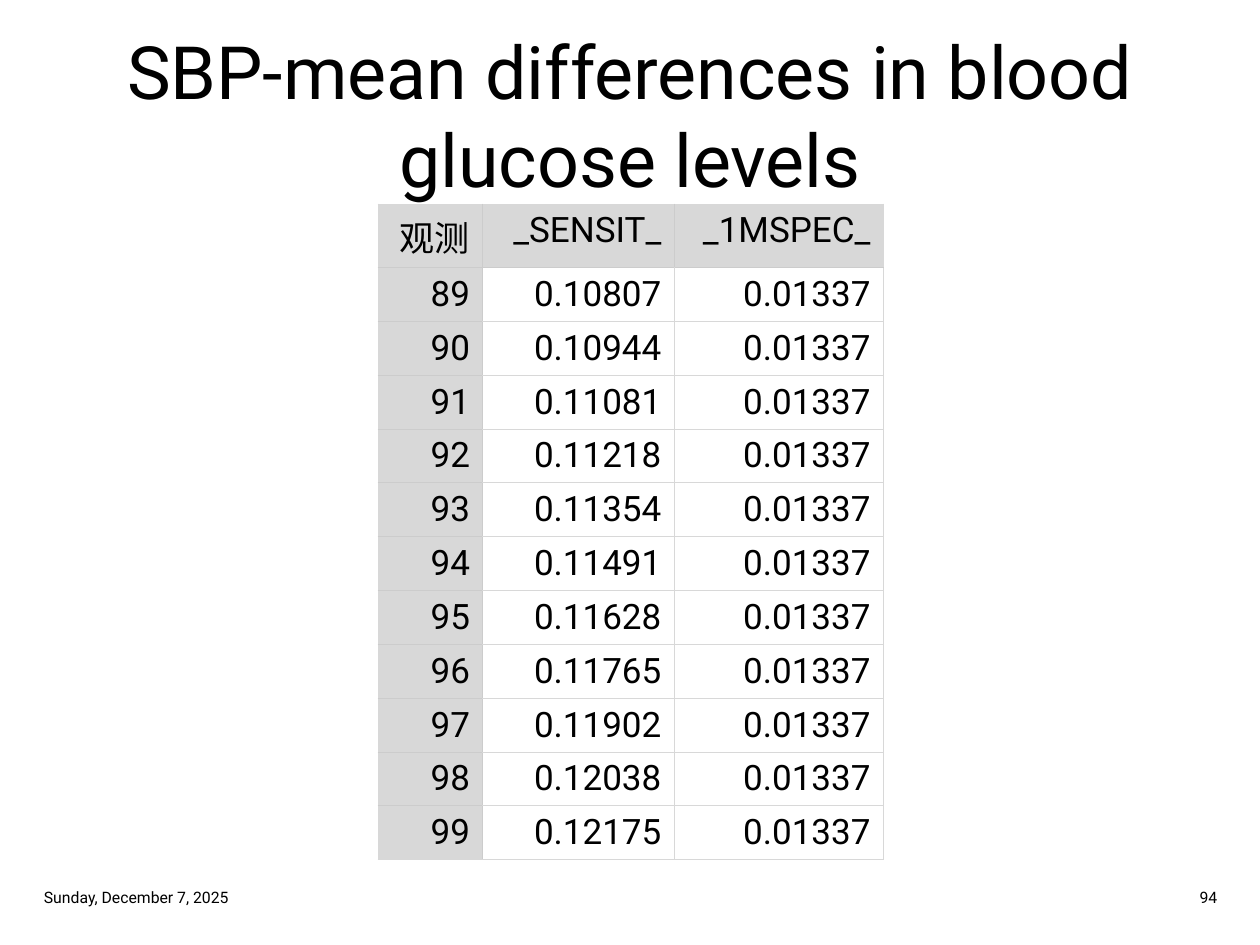
from pptx import Presentation, util as u
from pptx.dml.color import RGBColor
from pptx.enum import text
from pptx.oxml import parse_xml
from pptx.oxml.ns import nsdecls

COLORS = {"ink": "000000", "paper": "FFFFFF", "head": "D8D8D8", "inner": "CCCCCC"}
LEFT, CENTER, RIGHT = text.PP_ALIGN.LEFT, text.PP_ALIGN.CENTER, text.PP_ALIGN.RIGHT
SENSITIVITY = ["0.10807", "0.10944", "0.11081", "0.11218", "0.11354", "0.11491",
               "0.11628", "0.11765", "0.11902", "0.12038", "0.12175"]
ROWS = [["观测", "_SENSIT_", "_1MSPEC_"]]
ROWS += [[str(n), v, "0.01337"] for n, v in enumerate(SENSITIVITY, 89)]


class Deck:
    """Hold the style and the current slide, and add each kind of element."""

    def __init__(self, width, height, font="Roboto"):
        self.prs = Presentation()
        self.prs.slide_width, self.prs.slide_height = u.Inches(width), u.Inches(height)
        self.font = font
        self.s = self.prs.slides.add_slide(self.prs.slide_layouts[5])

    def fill_text(self, tf, content, size, align):
        tf.text = content
        p = tf.paragraphs[0]
        p.alignment = align
        for r in p.runs:
            for name, value in {"name": self.font, "size": u.Pt(size)}.items():
                setattr(r.font, name, value)
            r.font.color.rgb = RGBColor.from_string(COLORS["ink"])

    def frame(self, sp, content, size, align):
        tf = sp.text_frame
        fmt = {"word_wrap": True, "auto_size": text.MSO_AUTO_SIZE.NONE,
               "vertical_anchor": text.MSO_ANCHOR.MIDDLE}
        for name, value in fmt.items():
            setattr(tf, name, value)
        self.fill_text(tf, content, size, align)

    def title(self, content, box, size):
        sp = self.s.shapes.title
        for name, value in zip(("left", "top", "width", "height"), box):
            setattr(sp, name, u.Inches(value))
        self.frame(sp, content, size, CENTER)

    def label(self, content, box, size, align):
        sp = self.s.shapes.add_textbox(*map(u.Inches, box))
        self.frame(sp, content, size, align)

    def borders(self, cell, sides):
        tcPr = cell._tc.get_or_add_tcPr()
        for side, color in sides.items():
            tcPr.append(parse_xml(
                f'<a:ln{side} {nsdecls("a")} w="{u.Pt(0.5)}"><a:solidFill>'
                f'<a:srgbClr val="{COLORS[color]}"/></a:solidFill></a:ln{side}>'))

    def table(self, rows, left, top, widths, row_height, size):
        n_rows, n_cols = len(rows), len(widths)
        box = (left, top, sum(widths), row_height * n_rows)
        tbl = self.s.shapes.add_table(n_rows, n_cols, *map(u.Inches, box)).table
        for col, width in zip(tbl.columns, widths):
            col.width = u.Inches(width)

        def edge(index, last, in_header):
            inner = 0 < index < last and (in_header or index == 1)
            return "inner" if inner else "head"

        for i, row in enumerate(rows):
            tbl.rows[i].height = u.Inches(row_height)
            for j, value in enumerate(row):
                cell = tbl.cell(i, j)
                self.fill_text(cell.text_frame, value, size, RIGHT)
                self.borders(cell, {"L": edge(j, n_cols, i == 0),
                                    "R": edge(j + 1, n_cols, i == 0),
                                    "T": edge(i, n_rows, j == 0),
                                    "B": edge(i + 1, n_rows, j == 0)})
                cell.fill.solid()
                shade = "head" if i == 0 or j == 0 else "paper"
                cell.fill.fore_color.rgb = RGBColor.from_string(COLORS[shade])


def main():
    deck = Deck(10, 7.5)
    deck.title("SBP-mean differences in blood\vglucose levels", (0.25, 0.25, 9.5, 1.31), 42)
    deck.table(ROWS, 3, 1.62, (0.83, 1.52, 1.66), 0.42, 20)
    deck.label("Sunday, December 7, 2025", (0.25, 6.99, 2.38, 0.26), 9, LEFT)
    deck.label("94", (7.38, 6.99, 2.38, 0.26), 9, RIGHT)
    deck.prs.save("out.pptx")


if __name__ == "__main__":
    main()
